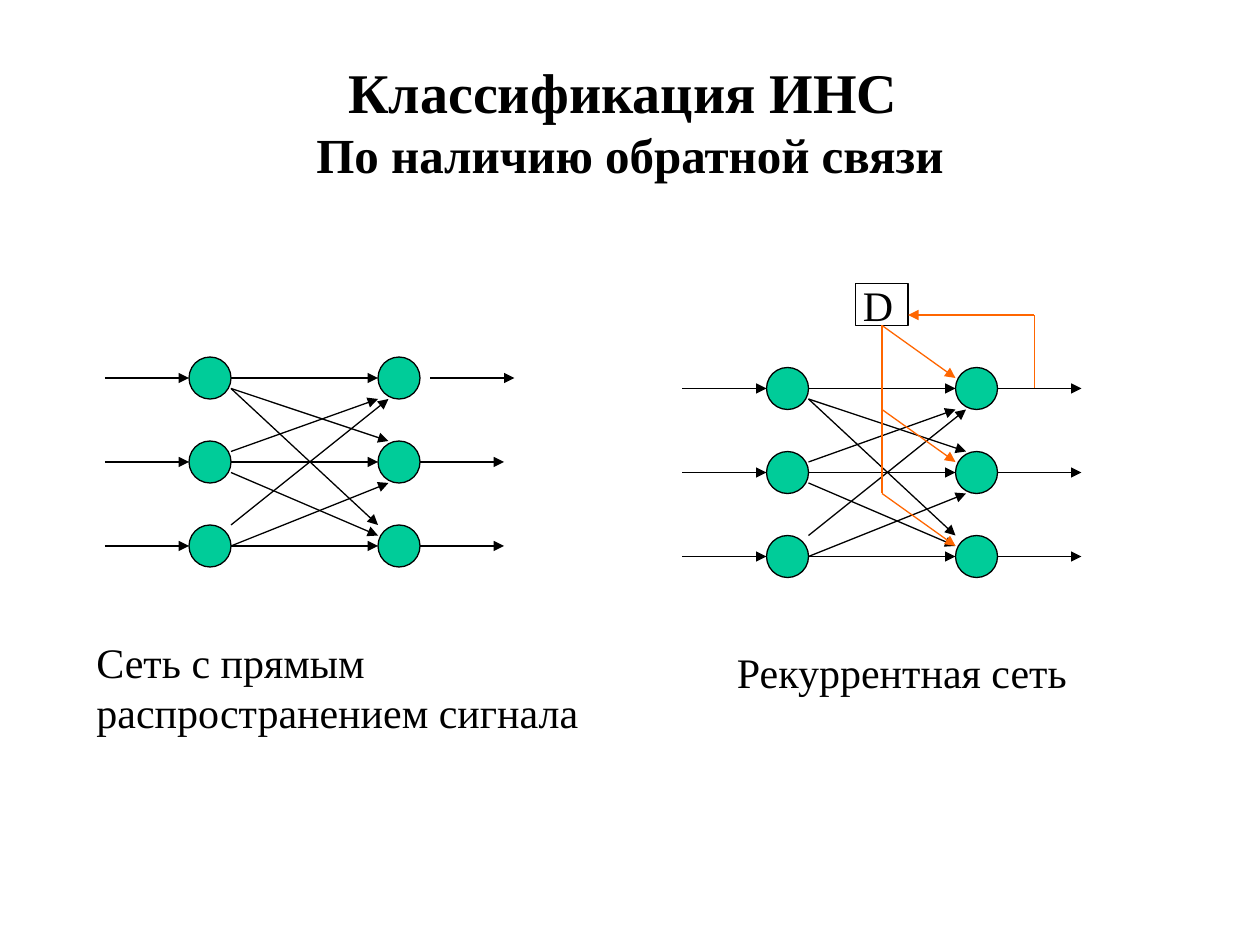
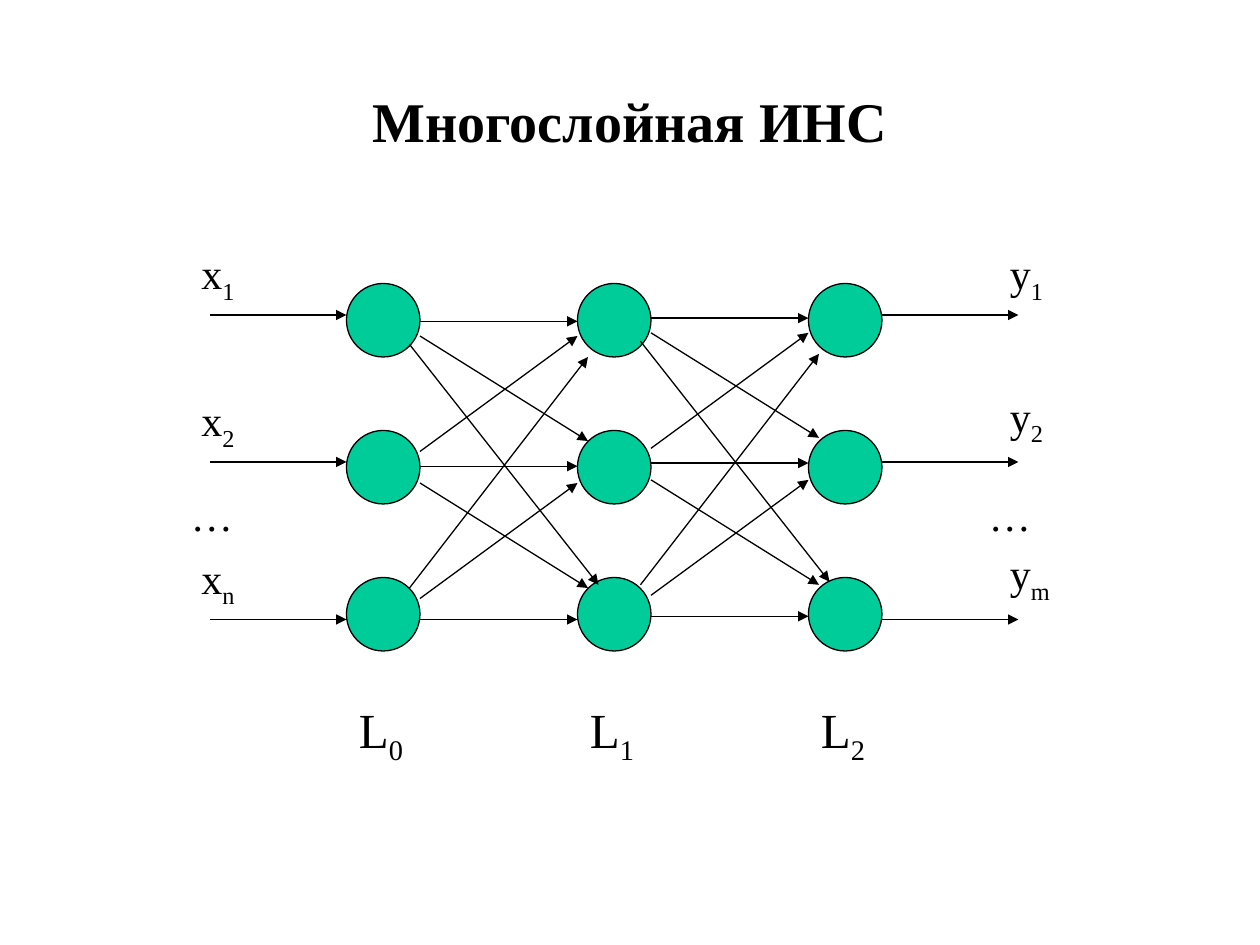
from typing import NamedTuple

from lxml import etree
from pptx import Presentation
from pptx.dml.color import RGBColor
from pptx.enum.shapes import MSO_CONNECTOR, MSO_SHAPE
from pptx.enum.text import MSO_ANCHOR, MSO_AUTO_SIZE, PP_ALIGN
from pptx.oxml.ns import qn
from pptx.util import Inches, Pt

STRAIGHT = MSO_CONNECTOR.STRAIGHT
ELLIPSE, RECT = MSO_SHAPE.OVAL, MSO_SHAPE.RECTANGLE
MIDDLE, CENTER = MSO_ANCHOR.MIDDLE, PP_ALIGN.CENTER
NO_FIT, GROW = MSO_AUTO_SIZE.NONE, MSO_AUTO_SIZE.SHAPE_TO_FIT_TEXT

COLORS = {"ink": "000000", "neuron": "00CC99", "feedback": "FF6600"}
FONT = "Times New Roman"
BOTTOM = 2  # connection site


# Diagram coordinates are counted in twelfths of an inch
class Box(NamedTuple):
    x: float
    y: float
    w: float
    h: float


class Link(NamedTuple):
    x1: float
    y1: float
    x2: float
    y2: float

    def moved(self, dx: float, dy: float) -> "Link":
        return Link(self.x1 + dx, self.y1 + dy, self.x2 + dx, self.y2 + dy)


class Label(NamedTuple):
    text: str
    box: Box
    size: int = 24


def grid(n: float):
    return Inches(n / 12)


def rgb(name: str) -> RGBColor:
    return RGBColor.from_string(COLORS[name])


# Shared drawing functions
def add_text(p, text: str, *, size: int = 24, bold: bool = False) -> None:
    """Write text in p; what follows an underscore becomes a subscript."""
    base, _, sub = text.partition("_")
    for part, is_sub in ((base, False), (sub, True)):
        if not part:
            continue
        r = p.add_run()
        r.text = part
        r.font.name, r.font.size, r.font.bold = FONT, Pt(size), bold
        r.font.color.rgb = rgb("ink")
        if is_sub:
            r._r.get_or_add_rPr().set("baseline", "-25000")


def add_slide(prs, *lines: tuple[str, int]):
    s = prs.slides.add_slide(prs.slide_layouts[5])
    title = s.shapes.title
    title.left, title.top = Inches(0.75), Inches(0.33)
    title.width, title.height = Inches(8.5), Inches(1.25)
    tf = title.text_frame
    tf.auto_size, tf.vertical_anchor, tf.word_wrap = NO_FIT, MIDDLE, True
    p = tf.paragraphs[0]
    p.alignment = CENTER
    for i, (text, size) in enumerate(lines):
        if i:
            p.add_line_break()
        add_text(p, text, size=size, bold=True)
    return s


def add_label(shapes, label: Label) -> None:
    tf = shapes.add_textbox(*map(grid, label.box)).text_frame
    tf.word_wrap, tf.auto_size = True, GROW
    p = tf.paragraphs[0]
    p.space_before = Pt(label.size * 0.625)
    add_text(p, label.text, size=label.size)


def add_outlined(shapes, kind, box: Box, fill: str = ""):
    sp = shapes.add_shape(kind, *map(grid, box))
    sp.shadow.inherit = False
    if fill:
        sp.fill.solid()
        sp.fill.fore_color.rgb = rgb(fill)
    else:
        sp.fill.background()
    sp.line.color.rgb, sp.line.width = rgb("ink"), Pt(0.75)
    return sp


def add_link(shapes, link: Link, color: str = "ink", arrow: bool = True):
    c = shapes.add_connector(STRAIGHT, *map(grid, link))
    c.line.color.rgb, c.line.width = rgb(color), Pt(0.75)
    if arrow:
        etree.SubElement(c.line._get_or_add_ln(), qn("a:tailEnd"), type="triangle")
    etree.SubElement(c._element.spPr, qn("a:effectLst"))
    return c


def add_neurons(shapes, xs, ys, size: float) -> None:
    for x in xs:
        for y in ys:
            add_outlined(shapes, ELLIPSE, Box(x, y, size, size), "neuron")


# Two-layer network
CROSS_LINKS = (
    Link(22, 37, 36, 50), Link(22, 37, 37, 42), Link(22, 43, 36, 38),
    Link(22, 45, 36, 51), Link(22, 52, 37, 46), Link(22, 50, 37, 38),
)


def add_network(s, caption: Label, dx: float = 0, dy: float = 0, first_gap: float = 0):
    """Draw the network moved by dx, dy; first_gap shifts its top output."""
    shapes = s.shapes.add_group_shape().shapes
    rows = (36, 44, 52)
    add_neurons(shapes, (18 + dx, 36 + dx), [y - 2 + dy for y in rows], 4)
    links = list(CROSS_LINKS)
    for y in rows:
        gap = first_gap if y == rows[0] else 0
        links += [Link(10, y, 18, y), Link(22, y, 36, y),
                  Link(40 + gap, y, 48 + gap, y)]
    for link in links:
        add_link(shapes, link.moved(dx, dy))
    add_label(shapes, caption)


def add_feedback(s) -> None:
    delay = add_outlined(s.shapes, RECT, Box(81.5, 27, 5, 4))
    add_link(s.shapes, Link(98.5, 30, 86.5, 30), "feedback")
    add_link(s.shapes, Link(98.5, 30, 98.5, 37), "feedback", arrow=False)
    trunk = add_link(s.shapes, Link(84, 31, 84, 47), "feedback", arrow=False)
    trunk.begin_connect(delay, BOTTOM)
    for y in (31, 39, 47):
        branch = add_link(s.shapes, Link(84, y, 91, y + 5), "feedback")
        if y == 31:
            branch.begin_connect(delay, BOTTOM)
    add_label(s.shapes, Label("D", Box(81, 26, 6, 6)))


def build_feedback_slide(prs) -> None:
    s = add_slide(prs, ("Классификация ИНС ", 32), ("По наличию обратной связи", 28))
    add_network(s, Label("Сеть с прямым распространением сигнала",
                         Box(8, 60, 50, 10.8)), first_gap=1)
    add_network(s, Label("Рекуррентная сеть", Box(69, 61, 34, 6)), dx=55, dy=1)
    add_feedback(s)


# Multilayer network
LAYER_LINKS = (
    Link(40, 30.6, 55, 30.6), Link(40, 44.4, 55, 44.4), Link(40, 59, 55, 59),
    Link(40, 32, 56, 42), Link(40, 46, 56, 56), Link(40, 43, 55, 32),
    Link(40, 57, 55, 46), Link(39, 56, 56, 34), Link(39, 32.8, 57, 55.7),
)


def build_multilayer_slide(prs) -> None:
    s = add_slide(prs, ("Многослойная ИНС", 32))
    layers, pitch = (33, 55, 77), 22
    add_neurons(s.shapes, layers, (27, 41, 55), 7)

    # Inputs, links between layers, outputs
    for y in (30, 44, 59):
        add_link(s.shapes, Link(20, y, 33, y))
        add_link(s.shapes, Link(84, y, 97, y))
    for link in LAYER_LINKS:
        add_link(s.shapes, link)
        add_link(s.shapes, link.moved(pitch, -0.3))

    # Labels of signals and layers
    signals = (("x", "12n", 18, (23, 37, 52)), ("y", "12m", 95, (23, 36.6, 51.6)))
    for name, indices, x, tops in signals:
        for index, y in zip(indices, tops):
            add_label(s.shapes, Label(f"{name}_{index}", Box(x, y, 10, 6.7)))
    for x in (17, 93):
        add_label(s.shapes, Label("…", Box(x, 46, 8, 6)))
    for i, x in enumerate(layers):
        add_label(s.shapes, Label(f"L_{i}", Box(x, 66, 9, 7.5), 28))


def main() -> None:
    prs = Presentation()
    prs.slide_width, prs.slide_height = Inches(10), Inches(7.5)
    build_feedback_slide(prs)
    build_multilayer_slide(prs)
    prs.save("out.pptx")


if __name__ == "__main__":
    main()
